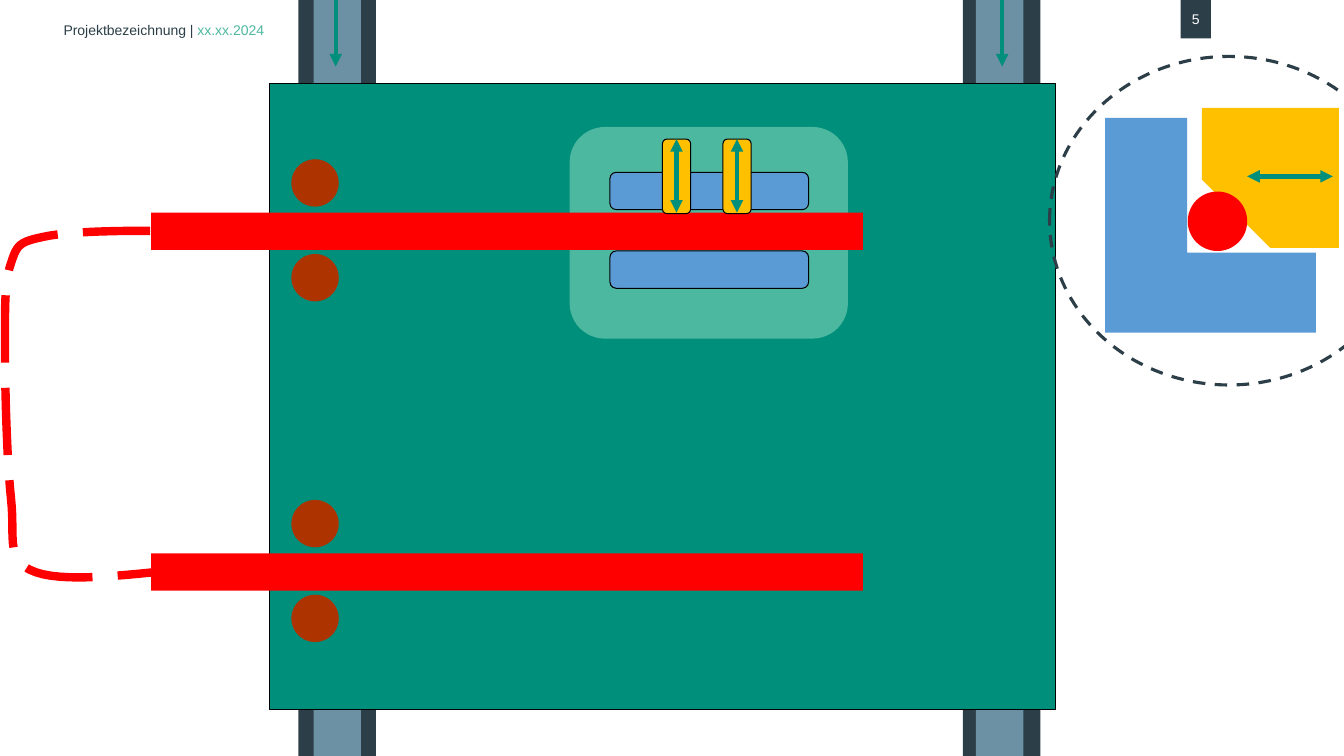
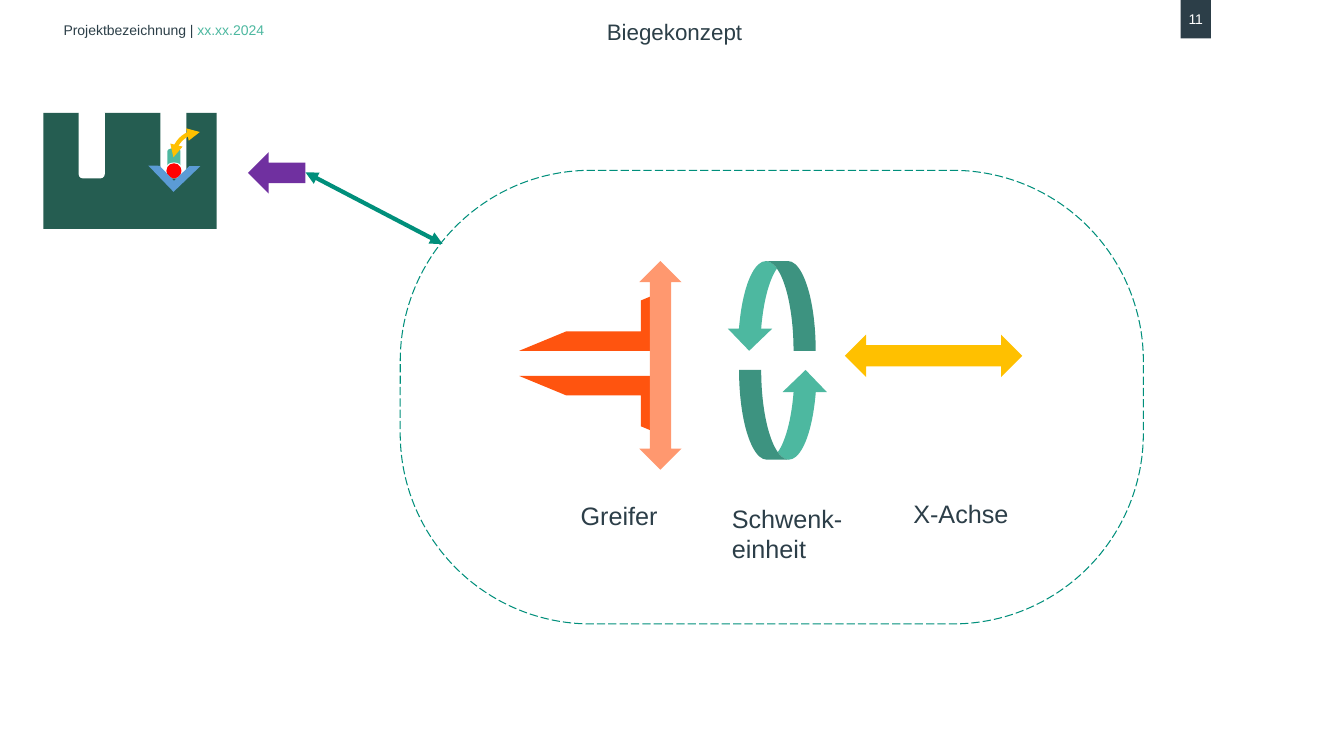
"""Build two slides that show a tube bending concept."""
from itertools import pairwise

from lxml.etree import SubElement
from pptx import Presentation
from pptx.dml.color import RGBColor
from pptx.enum.dml import MSO_LINE
from pptx.enum.shapes import MSO_CONNECTOR, MSO_SHAPE
from pptx.enum.text import MSO_ANCHOR, MSO_AUTO_SIZE, PP_ALIGN
from pptx.oxml.ns import qn
from pptx.util import Inches, Pt

FONT = "Arial"
BLACK = RGBColor(0x00, 0x00, 0x00)
WHITE = RGBColor(0xFF, 0xFF, 0xFF)
INK = RGBColor(0x2C, 0x3F, 0x48)
SLATE = RGBColor(0x2C, 0x3E, 0x48)
STEEL = RGBColor(0x6C, 0x91, 0xA5)
TEAL = RGBColor(0x00, 0x8F, 0x7B)
MINT = RGBColor(0x4D, 0xB8, 0xA0)
FOREST = RGBColor(0x25, 0x5D, 0x51)
RED = RGBColor(0xFF, 0x00, 0x00)
RUST = RGBColor(0xAD, 0x34, 0x00)
BLUE = RGBColor(0x5B, 0x9B, 0xD5)
AMBER = RGBColor(0xFF, 0xC0, 0x00)
PURPLE = RGBColor(0x70, 0x30, 0xA0)
ORANGE = RGBColor(0xFF, 0x54, 0x0F)
SALMON = RGBColor(0xFF, 0x98, 0x6F)

OUTLINE = (BLACK, 0.75, MSO_LINE.SOLID)
TUBE_BEND = [
    (1.49, 2.29),
    ((1.07, 2.29), (0.66, 2.3), (0.43, 2.35)),
    ((0.2, 2.4), (0.17, 2.42), (0.11, 2.61)),
    ((0.04, 2.8), (0.05, 3.1), (0.05, 3.49)),
    ((0.05, 3.88), (0.07, 4.59), (0.11, 4.95)),
    ((0.15, 5.31), (0.06, 5.53), (0.29, 5.65)),
    ((0.52, 5.77), (1.01, 5.73), (1.5, 5.68)),
]


def set_values(target, values):
    """Set every attribute named in a dict of format values."""
    for name, value in values.items():
        setattr(target, name, value)


def set_line(shape, stroke):
    """Apply a (colour, points, dash) stroke, or no line at all."""
    if stroke is None:
        shape.line.fill.background()
        return
    colour, width, dash = stroke
    shape.line.color.rgb = colour
    set_values(shape.line, {"width": Pt(width), "dash_style": dash})


def add_heads(shape, ends):
    """Put triangle arrowheads on the named ends of a line."""
    outline = shape.element.spPr.find(qn("a:ln"))
    for end in ends:
        SubElement(outline, qn(f"a:{end}")).set("type", "triangle")


def add_figure(shapes, kind, frame, fill=None, stroke=None, turn=0, adjust=()):
    """Add a flat preset shape in a (left, top, width, height) frame."""
    figure = shapes.add_shape(kind, *map(Inches, frame))
    figure.shadow.inherit = False
    figure.rotation = turn
    for index, value in enumerate(adjust):
        figure.adjustments[index] = value
    if fill is None:
        figure.fill.background()
    else:
        figure.fill.solid()
        figure.fill.fore_color.rgb = fill
    set_line(figure, stroke)
    return figure


def add_arrow(shapes, start, finish, ends=("headEnd", "tailEnd")):
    """Add a straight teal arrow."""
    points = map(Inches, (*start, *finish))
    arrow = shapes.add_connector(MSO_CONNECTOR.STRAIGHT, *points)
    set_line(arrow, (TEAL, 3, MSO_LINE.SOLID))
    add_heads(arrow, ends)
    SubElement(arrow.element.spPr, qn("a:effectLst"))


def bezier(start, first, second, finish, steps=12):
    """Return the points that follow the start of a cubic curve."""
    points = []
    for step in range(1, steps + 1):
        t = step / steps
        weights = ((1 - t) ** 3, 3 * t * (1 - t) ** 2, 3 * t * t * (1 - t), t ** 3)
        points.append(tuple(
            Inches(sum(w * value for w, value in zip(weights, axis)))
            for axis in zip(start, first, second, finish)))
    return points


def add_curve(shapes, outline, stroke):
    """Add an open curve from a start point and cubic segments."""
    start, *segments = outline
    builder = shapes.build_freeform(*map(Inches, start))
    anchors = [start, *(segment[-1] for segment in segments)]
    for (begin, _), segment in zip(pairwise(anchors), segments):
        builder.add_line_segments(bezier(begin, *segment), close=False)
    curve = builder.convert_to_shape()
    curve.shadow.inherit = False
    curve.fill.background()
    set_line(curve, stroke)


def write(box, spans, size, align=PP_ALIGN.LEFT, anchor=MSO_ANCHOR.TOP, margin=None):
    """Write (text, colour) spans as the only paragraph of a box."""
    frame = box.text_frame
    set_values(frame, {"word_wrap": True, "vertical_anchor": anchor,
                       "auto_size": MSO_AUTO_SIZE.NONE})
    if margin is not None:
        sides = ("left", "top", "right", "bottom")
        set_values(frame, {f"margin_{side}": Inches(margin) for side in sides})
    para = frame.paragraphs[0]
    para.alignment = align
    for text, colour in spans:
        span = para.add_run()
        span.text = text
        set_values(span.font, {"name": FONT, "size": Pt(size)})
        span.font.color.rgb = colour


def add_page(deck, number, title=None):
    """Add a page with the shared header, page number and optional title."""
    page = deck.slides.add_slide(deck.slide_layouts[5 if title else 6])
    header = page.shapes.add_textbox(*map(Inches, (0.6, 0.18, 3.51, 0.23)))
    write(header, [("Projektbezeichnung | ", INK), ("xx.xx.2024", MINT)], 10,
          anchor=MSO_ANCHOR.MIDDLE, margin=0.03)
    badge = add_figure(page.shapes, MSO_SHAPE.RECTANGLE, (11.71, 0, 0.3, 0.38), SLATE)
    write(badge, [(str(number), WHITE)], 10, PP_ALIGN.CENTER, MSO_ANCHOR.MIDDLE, 0.02)
    if title:
        box = page.shapes.title
        frame = zip(("left", "top", "width", "height"), (2.91, 0.13, 7.56, 0.31))
        set_values(box, {name: Inches(value) for name, value in frame})
        write(box, [(title, INK)], 16, PP_ALIGN.CENTER)
    return page


def draw_table(shapes):
    """Draw the rails, the machine table, the tube and its clamp."""
    for outer, inner in ((9.55, 9.68), (2.96, 3.11)):
        add_figure(shapes, MSO_SHAPE.RECTANGLE, (outer, 0, 0.77, 7.5), SLATE)
        add_figure(shapes, MSO_SHAPE.RECTANGLE, (inner, 0, 0.47, 7.5), STEEL)
    add_figure(shapes, MSO_SHAPE.RECTANGLE, (2.67, 0.83, 7.8, 6.21), TEAL, OUTLINE)
    add_figure(shapes, MSO_SHAPE.ROUNDED_RECTANGLE, (5.65, 1.26, 2.76, 2.1), MINT)
    for axis in (2.29, 5.67):
        add_figure(shapes, MSO_SHAPE.RECTANGLE, (1.5, axis - 0.18, 7.06, 0.37), RED)
        for centre in (axis - 0.47, axis + 0.47):
            roller = (2.89, centre - 0.24, 0.47, 0.47)
            add_figure(shapes, MSO_SHAPE.OVAL, roller, RUST)
    add_curve(shapes, TUBE_BEND, (RED, 6, MSO_LINE.LONG_DASH))
    for top in (2.49, 1.71):
        add_figure(shapes, MSO_SHAPE.ROUNDED_RECTANGLE, (6.05, top, 1.97, 0.37),
                   BLUE, OUTLINE)
    for left in (6.57, 7.17):
        add_figure(shapes, MSO_SHAPE.ROUNDED_RECTANGLE, (left, 1.38, 0.28, 0.74),
                   AMBER, OUTLINE)
        add_arrow(shapes, (left + 0.14, 1.38), (left + 0.14, 2.11))
    for x in (9.94, 3.33):
        add_arrow(shapes, (x, 0), (x, 0.66), ["tailEnd"])


def draw_detail(shapes):
    """Draw the enlarged cross section of the clamp."""
    add_figure(shapes, MSO_SHAPE.SNIP_1_RECTANGLE, (11.92, 1.07, 1.36, 1.39),
               AMBER, turn=180, adjust=[0.5])
    add_figure(shapes, MSO_SHAPE.OVAL, (11.78, 1.9, 0.59, 0.59), RED)
    add_figure(shapes, MSO_SHAPE.CORNER, (10.96, 1.17, 2.09, 2.13), BLUE,
               adjust=[0.38, 0.39])
    add_arrow(shapes, (13.22, 1.75), (12.37, 1.75))
    add_figure(shapes, MSO_SHAPE.OVAL, (10.41, 0.56, 3.56, 3.26),
               stroke=(SLATE, 2.25, MSO_LINE.DASH))


def draw_fixture(shapes):
    """Draw the slotted fixture that holds the tube."""
    add_figure(shapes, MSO_SHAPE.RECTANGLE, (0.43, 1.12, 1.72, 1.15), FOREST)
    for left in (0.78, 1.59):
        add_figure(shapes, MSO_SHAPE.ROUNDED_RECTANGLE, (left, 1.08, 0.26, 0.69), WHITE)
    add_figure(shapes, MSO_SHAPE.OVAL, (1.65, 1.62, 0.15, 0.15), RED)
    add_figure(shapes, MSO_SHAPE.FLOWCHART_STORED_DATA, (1.64, 1.49, 0.17, 0.13),
               MINT, turn=90)
    swing = add_figure(shapes, MSO_SHAPE.ARC, (1.72, 1.31, 0.5, 0.5),
                       stroke=(AMBER, 3, MSO_LINE.SOLID), adjust=[107.79, 163.67])
    add_heads(swing, ["headEnd", "tailEnd"])
    add_figure(shapes, MSO_SHAPE.HALF_FRAME, (1.55, 1.46, 0.36, 0.37), BLUE,
               turn=226.2, adjust=[0.22, 0.21])


def draw_bending_head(shapes):
    """Draw the gripper, the swivel unit and the X axis with their labels."""
    add_figure(shapes, MSO_SHAPE.LEFT_ARROW, (2.46, 1.51, 0.57, 0.41), PURPLE)
    add_figure(shapes, MSO_SHAPE.LEFT_RIGHT_ARROW, (8.38, 3.32, 1.76, 0.42), AMBER)
    for left, top, turn in ((7.33, 3.67, 0), (7.21, 2.59, 180)):
        add_figure(shapes, MSO_SHAPE.CURVED_UP_ARROW, (left, top, 0.88, 0.89),
                   MINT, turn=turn)
    for frame, turn in (((5.15, 2.9, 1.4, 0.58), 180), ((5.56, 3.32, 0.58, 1.4), 90)):
        add_figure(shapes, MSO_SHAPE.HALF_FRAME, frame, ORANGE, turn=turn)
    add_figure(shapes, MSO_SHAPE.UP_DOWN_ARROW, (6.34, 2.59, 0.42, 2.07), SALMON)
    labels = {"Greifer": (5.66, 4.91, 0.98, 0.4),
              "Schwenk-einheit": (7.16, 4.94, 1.5, 0.71),
              "X-Achse": (8.96, 4.89, 1.18, 0.4)}
    for text, frame in labels.items():
        write(shapes.add_textbox(*map(Inches, frame)), [(text, SLATE)], 18)
    add_figure(shapes, MSO_SHAPE.ROUNDED_RECTANGLE, (3.97, 1.69, 7.37, 4.5),
               stroke=(TEAL, 0.75, MSO_LINE.LONG_DASH), adjust=[0.42])
    add_arrow(shapes, (4.39, 2.42), (3.03, 1.71))


def main():
    """Build and save the deck."""
    deck = Presentation()
    set_values(deck, {"slide_width": Inches(13.33), "slide_height": Inches(7.5)})
    machine = add_page(deck, 5)
    draw_table(machine.shapes)
    draw_detail(machine.shapes)
    concept = add_page(deck, 11, "Biegekonzept")
    draw_fixture(concept.shapes.add_group_shape().shapes)
    draw_bending_head(concept.shapes)
    deck.save("out.pptx")


if __name__ == "__main__":
    main()
